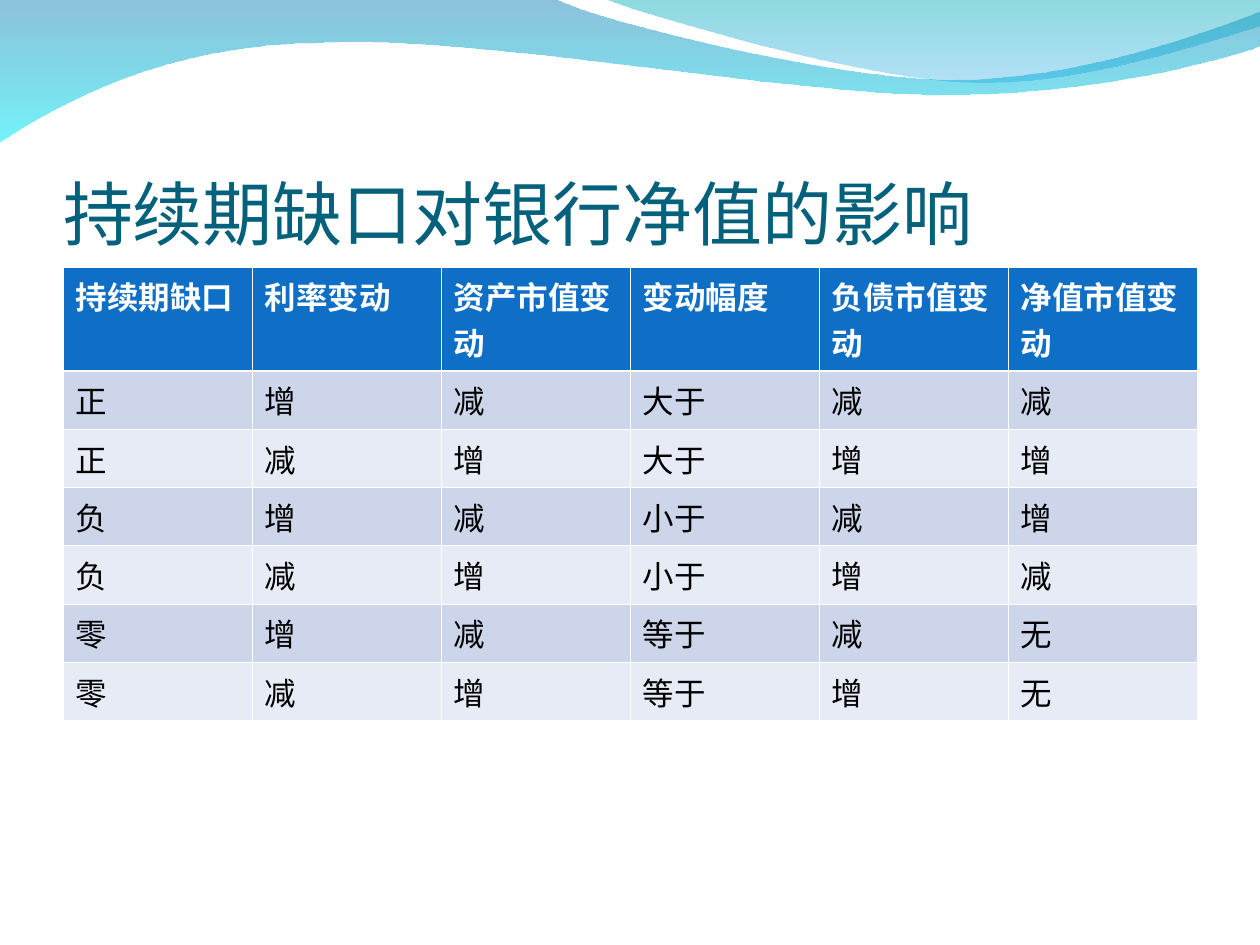
from lxml import etree
from pptx import Presentation
from pptx.dml.color import RGBColor
from pptx.enum.text import MSO_ANCHOR, MSO_AUTO_SIZE, PP_ALIGN
from pptx.oxml.ns import qn
from pptx.util import Inches, Pt

BOTTOM = MSO_ANCHOR.BOTTOM
NO_AUTOFIT = MSO_AUTO_SIZE.NONE
LEFT = PP_ALIGN.LEFT
TITLE_ONLY = 5
UNITS_PER_INCH = 1000

HEADER = ["持续期缺口", "利率变动", "资产市值变动", "变动幅度", "负债市值变动", "净值市值变动"]
ROWS = [
    ["正", "增", "减", "大于", "减", "减"],
    ["正", "减", "增", "大于", "增", "增"],
    ["负", "增", "减", "小于", "减", "增"],
    ["负", "减", "增", "小于", "增", "减"],
    ["零", "增", "减", "等于", "减", "无"],
    ["零", "减", "增", "等于", "增", "无"],
]
LONG_WAVE = [
    [(0, -0.01)],
    [(4.4, -0.01)],
    [(4.76, 0.17), (6.64, 0.63), (7.58, 0.63)],
    [(8.53, 0.63), (9.58, 0.26), (10, 0.09)],
    [(10.01, 0.36)],
    [(9.83, 0.44), (8.7, 0.76), (7.46, 0.75)],
    [(6.22, 0.75), (3.82, 0.28), (2.57, 0.34)],
    [(1.29, 0.35), (0.46, 0.83), (-0.01, 1.13)],
]
SHORT_WAVE = [
    [(4.79, -0.01)],
    [(5.09, 0.11), (6.82, 0.62), (7.69, 0.65)],
    [(8.56, 0.69), (9.61, 0.32), (10, 0.21)],
    [(10, 0)],
]


def colour(value):
    """Turn a hex string into a colour."""
    return RGBColor.from_string(value)


def bend_segments(shape, segments):
    """Turn each run of three straight pieces into one cubic curve."""
    pieces = iter(list(shape.element.spPr.iter(qn("a:lnTo"))))
    for segment in segments[1:]:
        group = [next(pieces) for _ in segment]
        if len(group) == 3:
            curve = etree.Element(qn("a:cubicBezTo"))
            group[0].addprevious(curve)
            for piece in group:
                curve.append(piece[0])
                piece.getparent().remove(piece)


def add_wave(page, segments, stops):
    """Draw a wave with a see-through gradient running downwards."""
    points = [(round(x * UNITS_PER_INCH), round(y * UNITS_PER_INCH))
              for segment in segments for x, y in segment]
    builder = page.shapes.build_freeform(*points[0], scale=Inches(1) / UNITS_PER_INCH)
    builder.add_line_segments(points[1:], close=True)
    wave = builder.convert_to_shape()
    bend_segments(wave, segments)
    wave.shadow.inherit = False
    wave.line.fill.background()
    wave.fill.gradient()
    wave.fill.gradient_angle = 270
    for position, (stop, (value, _)) in enumerate(zip(wave.fill.gradient_stops, stops)):
        stop.position = position
        stop.color.rgb = colour(value)
    for node, (_, opacity) in zip(wave.element.spPr.iter(qn("a:srgbClr")), stops):
        etree.SubElement(node, qn("a:alpha"), val=str(opacity * 1000))


def set_title(page, text):
    """Place and format the title in front of the waves."""
    title = page.shapes.title
    title.element.getparent().append(title.element)
    title.left, title.top = Inches(0.5), Inches(0.77)
    title.width, title.height = Inches(9), Inches(1.25)
    frame = title.text_frame
    frame.text = text
    frame.word_wrap = True
    frame.auto_size = NO_AUTOFIT
    frame.vertical_anchor = BOTTOM
    frame.margin_left = frame.margin_right = frame.margin_bottom = 0
    frame.margin_top = Inches(0.05)
    paragraph = frame.paragraphs[0]
    paragraph.alignment = LEFT
    paragraph.font.name = "Calibri"
    paragraph.font.size = Pt(40)
    paragraph.font.color.rgb = colour("04617B")


def set_border(cell, side, width):
    """Give one side of a cell a white line."""
    properties = cell._tc.get_or_add_tcPr()
    line = etree.SubElement(properties, qn(f"a:ln{side}"), w=str(Pt(width)))
    fill = etree.SubElement(line, qn("a:solidFill"))
    etree.SubElement(fill, qn("a:srgbClr"), val="FFFFFF")


def fill_cell(cell, text, row_index):
    """Write and format one cell according to its row."""
    is_header = row_index == 0
    widths = {"L": 0.45, "R": 0.45,
              "T": 1.47 if row_index == 1 else 0.45,
              "B": 1.47 if is_header else 0.45}
    for side, width in widths.items():
        set_border(cell, side, width)
    band = "CCD5EA" if row_index % 2 else "E7EBF5"
    cell.fill.solid()
    cell.fill.fore_color.rgb = colour("0F6FC6" if is_header else band)
    cell.text = text
    font = cell.text_frame.paragraphs[0].font
    font.name = "Cambria"
    font.size = Pt(18)
    font.bold = is_header
    font.color.rgb = colour("FFFFFF" if is_header else "000000")


def add_effects_table(page):
    """Add the table of gap effects."""
    rows = [HEADER] + ROWS
    table = page.shapes.add_table(
        len(rows), len(HEADER), Inches(0.5), Inches(2.12), Inches(9), Inches(3.13)).table
    for row_index, texts in enumerate(rows):
        table.rows[row_index].height = Inches(0.41 if row_index else 0.7)
        for column_index, text in enumerate(texts):
            fill_cell(table.cell(row_index, column_index), text, row_index)


def main():
    """Build the deck and save it."""
    deck = Presentation()
    deck.slide_width, deck.slide_height = Inches(10), Inches(7.5)
    page = deck.slides.add_slide(deck.slide_layouts[TITLE_ONLY])
    add_wave(page, LONG_WAVE, [("0079AF", 45), ("00EBF8", 55)])
    add_wave(page, SHORT_WAVE, [("00ADB6", 45), ("009BE5", 30)])
    set_title(page, "持续期缺口对银行净值的影响")
    add_effects_table(page)
    deck.save("out.pptx")


if __name__ == "__main__":
    main()
